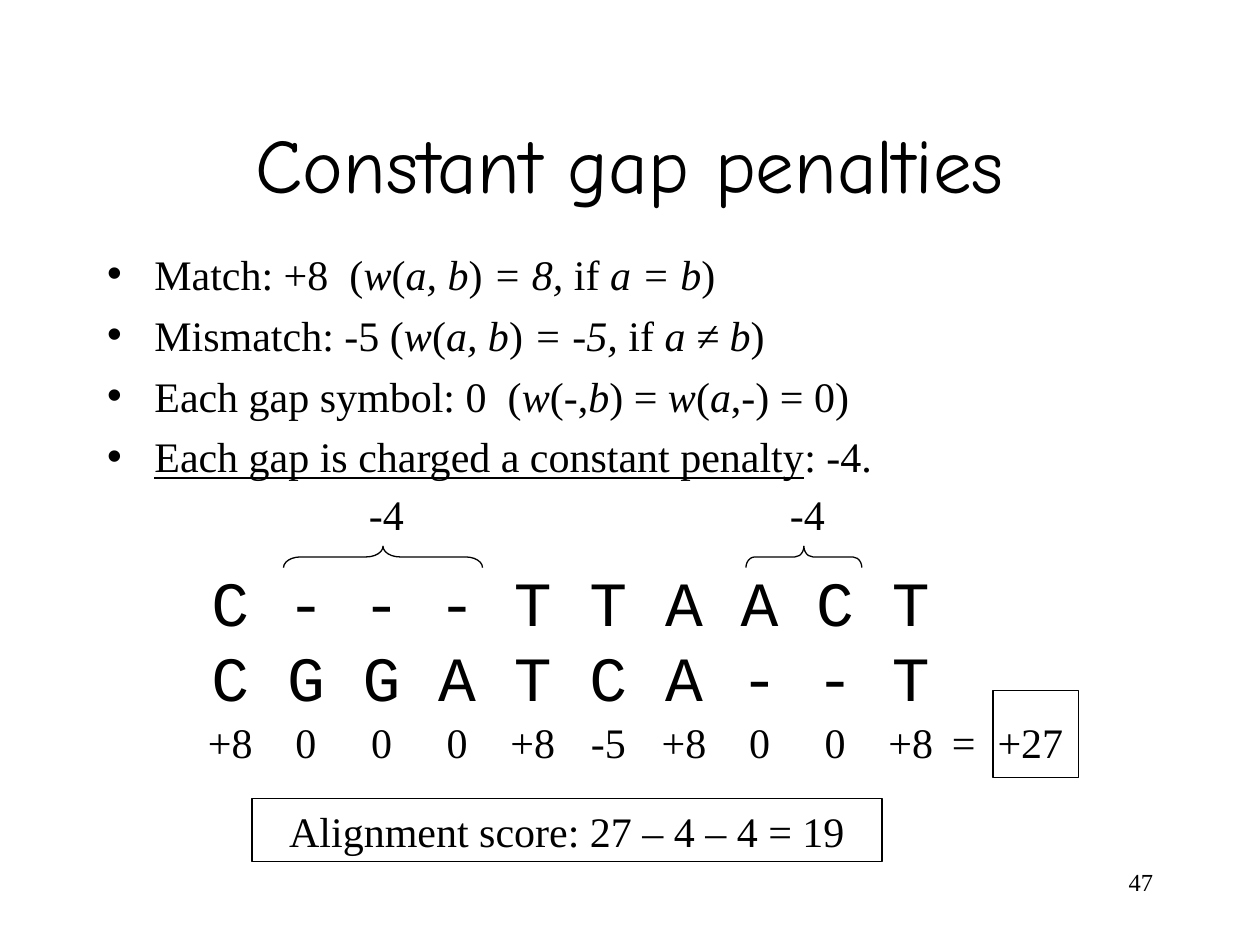
from dataclasses import dataclass

from lxml.etree import SubElement
from pptx import Presentation
from pptx.dml.color import RGBColor
from pptx.enum.shapes import MSO_SHAPE
from pptx.enum.text import MSO_ANCHOR, MSO_AUTO_SIZE, PP_ALIGN
from pptx.oxml.ns import qn
from pptx.util import Inches, Pt


@dataclass(frozen=True)
class Theme:
    ink: RGBColor = RGBColor(0, 0, 0)
    head: str = "Comic Neue"
    body: str = "Times New Roman"
    mono: str = "Courier New"
    title: int = 44
    base: int = 24
    code: int = 36
    small: int = 14
    line: float = 0.75


THEME = Theme()

RULES = [
    "Match: +8  (*w*(*a, b*) *= 8, *if *a = b*)",
    "Mismatch: -5 (*w*(*a, b*) *= -5, *if *a ≠ b*)",
    "Each gap symbol: 0  (*w*(-,*b*) = *w*(*a*,-) = 0)",
    "_Each gap is charged a constant penalty_: -4.",
]
PAIR = ["C---TTAACT", "CGGATCA--T"]
SCORES = ["+8", "0", "0", "0", "+8", "-5", "+8", "0", "0", "+8", "=", "+27"]
STEP = 0.6  # width of one alignment column
STOPS = [0.37 + STEP * i for i in range(len(PAIR[0]))] + [6.19, 6.72]


def place(shape, left, top, width, height):
    shape.left, shape.top = Inches(left), Inches(top)
    shape.width, shape.height = Inches(width), Inches(height)


def write(shape, lines, font=THEME.body, size=THEME.base, align=None,
          anchor=MSO_ANCHOR.TOP, before=0, lead=1.2):
    """Fill a shape with lines; *x* is italic and _x_ is underlined."""
    frame = shape.text_frame
    frame.word_wrap = True
    frame.auto_size = MSO_AUTO_SIZE.NONE
    frame.vertical_anchor = anchor
    for i, line in enumerate(lines):
        para = frame.add_paragraph() if i else frame.paragraphs[0]
        para.alignment = align
        para.space_before = Pt(before if i else 0)
        para.line_spacing = Pt(size * lead) if lead else None
        for j, part in enumerate(line.split("*")):
            for k, text in enumerate(part.split("_")):
                if not text:
                    continue
                run = para.add_run()
                run.text = text
                run.font.name, run.font.size = font, Pt(size)
                run.font.color.rgb = THEME.ink
                if j % 2:
                    run.font.italic = True
                if k % 2:
                    run.font.underline = True


def label(slide, box, lines, **look):
    shape = slide.shapes.add_textbox(*map(Inches, box))
    write(shape, lines, **look)
    return shape


def outline(slide, kind, box):
    shape = slide.shapes.add_shape(kind, *map(Inches, box))
    shape.shadow.inherit = False
    shape.fill.background()
    shape.line.color.rgb = THEME.ink
    shape.line.width = Pt(THEME.line)
    return shape


def brace(slide, mid, span, bend):
    """Draw a brace that points up, centred on mid."""
    deep, level = 0.17, 4.42
    box = (mid - deep / 2, level - span / 2, deep, span)
    shape = outline(slide, MSO_SHAPE.RIGHT_BRACE, box)
    shape.rotation = 270
    shape.adjustments[0] = bend


def tabs(shape, stops):
    props = shape.text_frame.paragraphs[0]._p.get_or_add_pPr()
    group = SubElement(props, qn("a:tabLst"))
    for stop in stops:
        SubElement(group, qn("a:tab"), pos=str(Inches(stop)), algn="ctr")


def main():
    deck = Presentation()
    deck.slide_width, deck.slide_height = Inches(10), Inches(7.5)
    slide = deck.slides.add_slide(deck.slide_layouts[1])

    title, body = slide.placeholders
    place(title, 0.75, 0.67, 8.5, 1.25)
    write(title, ["Constant gap penalties"], font=THEME.head,
          size=THEME.title, align=PP_ALIGN.CENTER,
          anchor=MSO_ANCHOR.MIDDLE, lead=None)
    place(body, 0.75, 1.92, 8.5, 4.5)
    write(body, RULES, before=6)

    label(slide, (1.58, 4.42, 7.53, 1.3), [" ".join(row) for row in PAIR],
          font=THEME.mono, size=THEME.code)
    row = label(slide, (1.36, 5.64, 7.44, 0.5),
                ["".join("\t" + score for score in SCORES)])
    tabs(row, STOPS)
    outline(slide, MSO_SHAPE.RECTANGLE, (7.88, 5.48, 0.68, 0.69))

    for mid, span, bend, left in ((3.04, 1.58, 0.79, 2.83),
                                  (6.38, 0.92, 0.42, 6.17)):
        brace(slide, mid, span, bend)
        label(slide, (left, 3.83, 0.58, 0.5), ["-4"])

    total = outline(slide, MSO_SHAPE.RECTANGLE, (2, 6.34, 5, 0.5))
    write(total, ["Alignment score: 27 – 4 – 4 = 19"],
          align=PP_ALIGN.CENTER, anchor=MSO_ANCHOR.MIDDLE)
    label(slide, (7.17, 6.83, 2.08, 0.5), ["47"], size=THEME.small,
          align=PP_ALIGN.RIGHT)
    deck.save("out.pptx")


if __name__ == "__main__":
    main()
